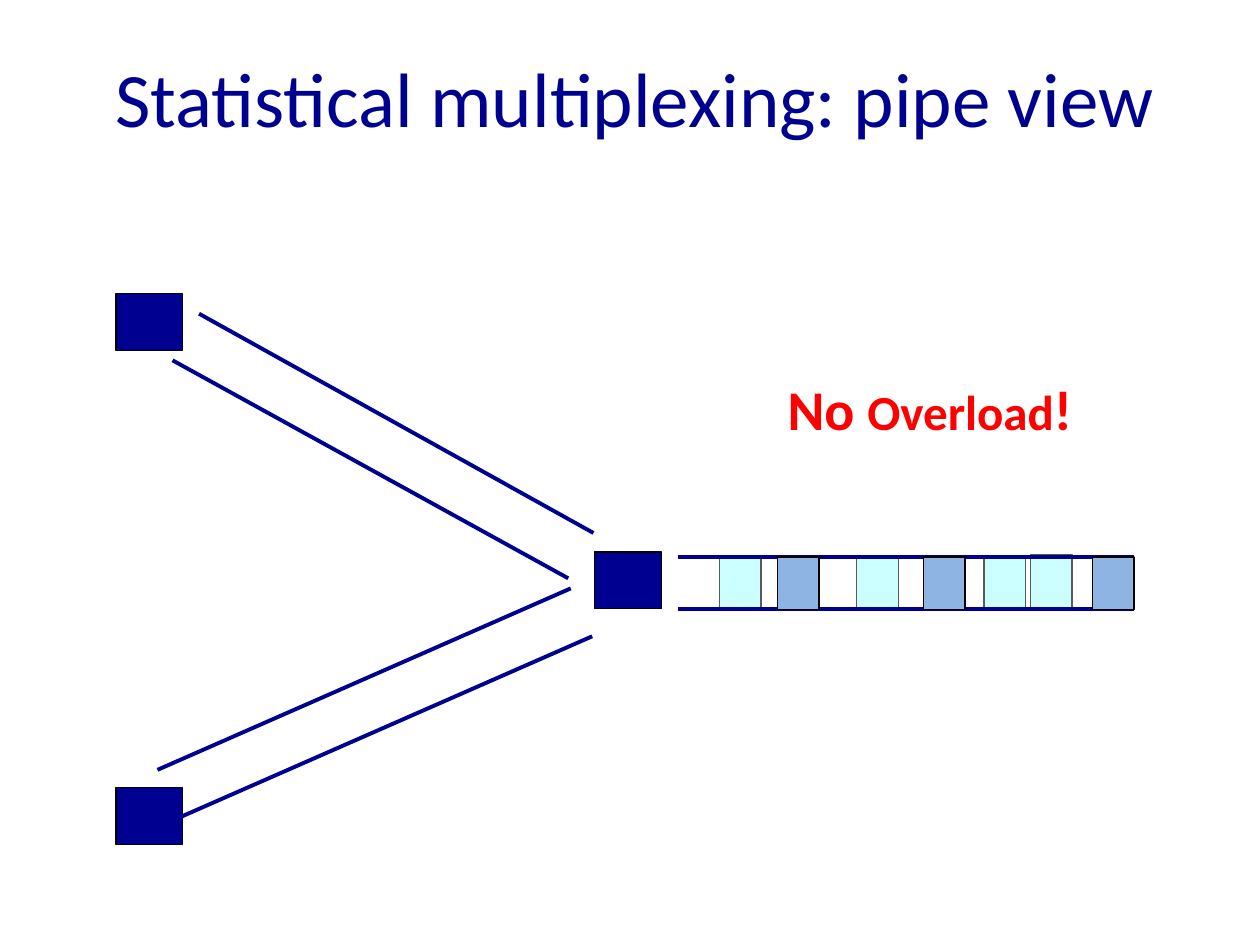
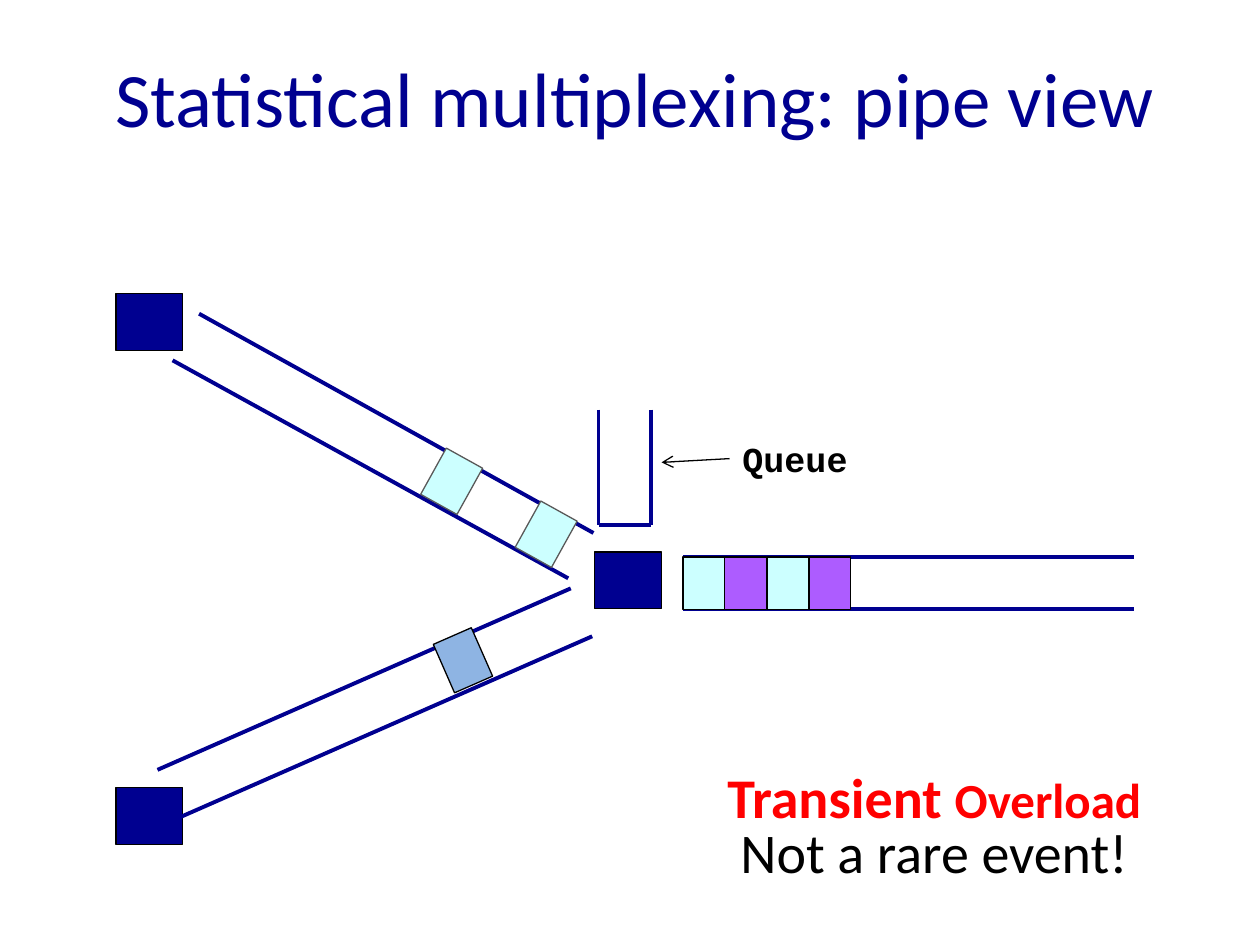
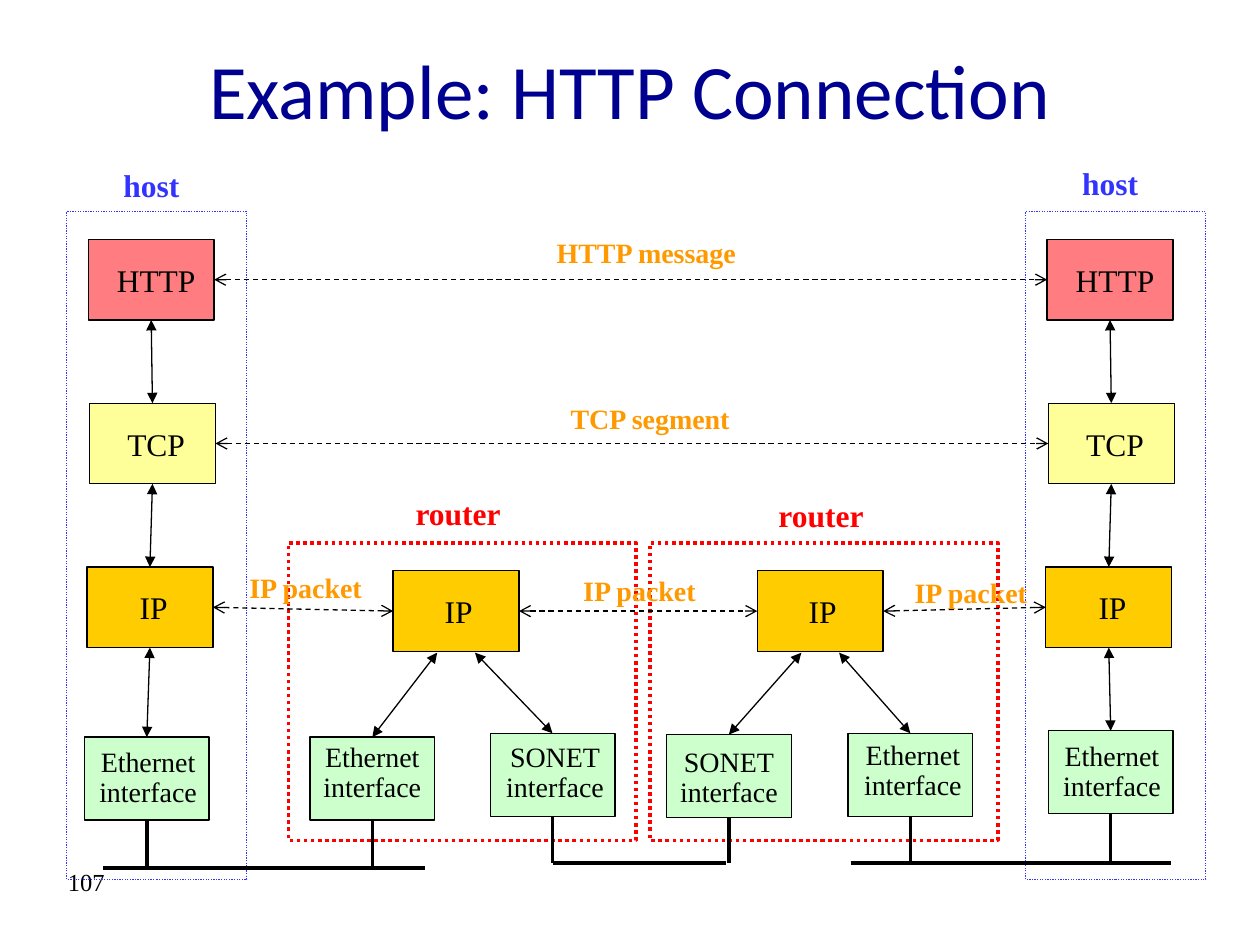
from dataclasses import dataclass
from itertools import pairwise

from lxml import etree
from pptx import Presentation
from pptx import util as u
from pptx.dml.color import RGBColor
from pptx.enum import dml, shapes, text as tx
from pptx.oxml import ns

TOP, LEFT, BOTTOM, RIGHT = range(4)


@dataclass(frozen=True)
class Theme:
    navy: str = "000090"
    black: str = "000000"
    gray: str = "595959"
    red: str = "FF0000"
    blue: str = "3333FF"
    orange: str = "FF9900"
    cyan: str = "CCFFFF"
    sky: str = "8EB4E3"
    purple: str = "AD5CFF"
    http: str = "FF7C80"
    tcp: str = "FFFF99"
    ip: str = "FFCC00"
    link: str = "CCFFCC"
    sans: str = "Calibri"
    serif: str = "Times New Roman"
    mono: str = "Courier New"
    title: int = 44
    big: int = 32
    medium: int = 28
    queue: int = 20
    label: int = 18
    small: int = 16
    number: int = 14
    thin: float = 0.75
    wire: float = 2
    pipe: float = 2.25


T = Theme()


def write(tf, text, *, size=T.label, font=T.serif, color=T.black, bold=False,
          align="left", spacing=None):
    """Fill a frame; text is lines split by newline, or (text, size) runs."""
    if isinstance(text, str):
        lines = [[(line, size)] for line in text.split("\n")]
    else:
        lines = [text]
    for i, runs in enumerate(lines):
        p = tf.add_paragraph() if i else tf.paragraphs[0]
        p.alignment = tx.PP_ALIGN.CENTER if align == "center" else tx.PP_ALIGN.LEFT
        if spacing:
            p.line_spacing = spacing
        for run_text, run_size in runs:
            r = p.add_run()
            r.text = run_text
            r.font.name, r.font.size, r.font.bold = font, u.Pt(run_size), bold
            r.font.color.rgb = RGBColor.from_string(color)


class Deck:
    def __init__(self, theme):
        self.theme = theme
        self.prs = Presentation()
        self.prs.slide_width, self.prs.slide_height = u.Inches(10), u.Inches(7.5)
        self.s = None

    def slide(self, title, at):
        self.s = self.prs.slides.add_slide(self.prs.slide_layouts[6])
        self.text(title, *at, size=self.theme.title, font=self.theme.sans,
                  color=self.theme.navy, align="center", anchor="middle")

    def text(self, text, x, y, w, h, wrap=True, anchor="top", **fmt):
        sp = self.s.shapes.add_textbox(*map(u.Inches, (x, y, w, h)))
        tf = sp.text_frame
        tf.word_wrap = wrap
        if not wrap:
            tf.auto_size = tx.MSO_AUTO_SIZE.SHAPE_TO_FIT_TEXT
        if anchor == "middle":
            tf.vertical_anchor = tx.MSO_ANCHOR.MIDDLE
        write(tf, text, **fmt)
        return sp

    def outline(self, line, color, width, dash=None):
        line.color.rgb = RGBColor.from_string(color)
        line.width = u.Pt(width)
        if dash:
            line.dash_style = dash

    def rect(self, x, y, w, h, fill=None, line=T.black, width=T.thin, dash=None,
             rotation=0):
        sp = self.s.shapes.add_shape(shapes.MSO_SHAPE.RECTANGLE,
                                     *map(u.Inches, (x, y, w, h)))
        sp.shadow.inherit = False
        sp.rotation = rotation
        if fill:
            sp.fill.solid()
            sp.fill.fore_color.rgb = RGBColor.from_string(fill)
        else:
            sp.fill.background()
        self.outline(sp.line, line, width, dash)
        return sp

    def box(self, text, x, y, w, h, fill, dx=0, dy=0, **fmt):
        """A labelled rectangle; dx and dy move the label off centre."""
        sp = self.rect(x, y, w, h, fill)
        tf = sp.text_frame
        tf.word_wrap = True
        tf.vertical_anchor = tx.MSO_ANCHOR.MIDDLE
        tf.margin_left, tf.margin_right = (u.Inches(max(0, 2 * d)) for d in (dx, -dx))
        tf.margin_top, tf.margin_bottom = (u.Inches(max(0, 2 * d)) for d in (dy, -dy))
        write(tf, text, align="center", **fmt)
        return sp

    def line(self, start, end, color=T.black, width=T.thin, dash=None,
             head=None, tail=None):
        """Each end is an (x, y) point or a (shape, side) joint."""
        joints = [isinstance(e[0], (int, float)) is False for e in (start, end)]
        points = [(0, 0) if joint else tuple(map(u.Inches, e))
                  for joint, e in zip(joints, (start, end))]
        c = self.s.shapes.add_connector(shapes.MSO_CONNECTOR.STRAIGHT,
                                        *points[0], *points[1])
        if joints[0]:
            c.begin_connect(*start)
        if joints[1]:
            c.end_connect(*end)
        self.outline(c.line, color, width, dash)
        ln = c.line._get_or_add_ln()
        for tag, kind in (("a:headEnd", head), ("a:tailEnd", tail)):
            if kind:
                etree.SubElement(ln, ns.qn(tag), type=kind)
        etree.SubElement(c._element.spPr, ns.qn("a:effectLst"))
        return c

    # Parts of the multiplexing view
    def pipe(self, *walls):
        for start, end in walls:
            self.line(start, end, self.theme.navy, self.theme.pipe)

    def packet(self, x, y, fill, line=T.black, rotation=0):
        self.rect(x, y, 0.33, 0.42, fill, line, rotation=rotation)

    def junction(self):
        """Two senders, the multiplexer and the two incoming pipes."""
        self.slide("Statistical multiplexing: pipe view", (0.5, 0.13, 9.08, 1.28))
        for x, y in ((4.72, 4.38), (0.92, 2.33), (0.92, 6.25)):
            self.rect(x, y, 0.53, 0.45, self.theme.navy)
        self.pipe(((1.58, 2.49), (4.71, 4.23)), ((1.37, 2.86), (4.51, 4.59)))
        self.pipe(((1.25, 6.11), (4.53, 4.67)), ((1.42, 6.49), (4.7, 5.05)))

    def output_pipe(self, x):
        self.pipe(*(((x, y), (x + 3.58, y)) for y in (4.42, 4.83)))

    # Parts of the protocol stack
    def interface(self, name, x, y, dx=0, dy=0):
        return self.box(f"{name}\ninterface", x, y, 0.99, 0.66, self.theme.link,
                        dx, dy, size=self.theme.small, spacing=0.9)

    def layer(self, name, x, y, fill, dx=0.03):
        return self.box(name, x, y, 1, 0.64, fill, dx)

    def caption(self, text, x, y, w, h, color, size=T.label):
        self.text(text, x, y, w, h, wrap=False, size=size, color=color, bold=True)

    def arrow(self, start, end):
        self.line(start, end, head="triangle", tail="triangle")

    def exchange(self, left, right):
        self.line((left, RIGHT), (right, LEFT), dash=dml.MSO_LINE.DASH,
                  head="arrow", tail="arrow")

    def frame(self, x, y, w, h, color, width):
        self.rect(x, y, w, h, line=color, width=width, dash=dml.MSO_LINE.ROUND_DOT)

    def host(self, x, link_at, label_y):
        stack = [self.layer("HTTP", x + 0.17, 1.9, self.theme.http, 0.04),
                 self.layer("TCP", x + 0.18, 3.2, self.theme.tcp),
                 self.layer("IP", x + 0.16, 4.5, self.theme.ip),
                 self.interface("Ethernet", *link_at, dx=0.01)]
        for upper, lower in pairwise(stack):
            self.arrow((upper, BOTTOM), (lower, TOP))
        self.frame(x, 1.68, 1.43, 5.3, self.theme.blue, self.theme.thin)
        self.caption("host", x + 0.35, label_y, 0.65, 0.4, self.theme.blue)
        return stack

    def router(self, x, ip_x, label_at, links):
        ip = self.layer("IP", ip_x, 4.53, self.theme.ip, 0.02)
        ports = [self.interface(*link) for link in links]
        for port, offset in zip(ports, (0.35, 0.65)):
            self.arrow((ip_x + offset, 5.18), (port, TOP))
        self.frame(x, 4.31, 2.76, 2.36, self.theme.red, self.theme.wire)
        self.caption("router", *label_at, 0.88, 0.4, self.theme.red)
        return ip, ports

    def network(self, x1, x2, y, members):
        """A shared wire with a drop from each member."""
        self.line((x1, y), (x2, y), width=self.theme.wire)
        for sp in members:
            middle = (sp.left + sp.width / 2) / u.Inches(1)
            self.line((sp, BOTTOM), (middle, y), width=self.theme.wire)


def no_overload(d):
    d.junction()
    d.output_pipe(5.38)
    for x, y in ((8.18, 4.4), (7.81, 4.41), (6.8, 4.42), (5.71, 4.42)):
        d.packet(x, y, T.cyan, T.gray)
    d.output_pipe(5.42)
    for x in (6.17, 8.67, 7.33):
        d.packet(x, 4.42, T.sky)
    d.text([("No ", T.big), ("Overload", T.medium), ("!", T.big)],
           5.67, 2.92, 3.42, 0.64, font=T.sans, color=T.red, bold=True, align="center")


def transient_overload(d):
    d.junction()
    for x, y in ((4.17, 4.03), (3.42, 3.61)):
        d.packet(x, y, T.cyan, T.gray, rotation=29)
    d.packet(3.51, 5.03, T.sky, rotation=336.3)
    d.text([("Transient ", T.big), ("Overload", T.medium)], 5.08, 6, 4.67, 0.64,
           font=T.sans, color=T.red, bold=True, align="center")
    d.text("Not a rare event!", 5.08, 6.44, 4.67, 0.64, size=T.big, font=T.sans,
           align="center")
    # Queue above the multiplexer
    d.pipe(((4.75, 3.25), (4.75, 4.17)), ((5.17, 3.25), (5.17, 4.17)),
           ((4.75, 4.17), (5.17, 4.17)))
    queue = d.text("Queue", 5.79, 3.42, 1.04, 0.44, wrap=False, size=T.queue,
                   font=T.mono, bold=True, align="center")
    d.line((queue, LEFT), (5.25, 3.67), tail="arrow")
    # Interleaved packets on the way out
    d.output_pipe(5.42)
    for i, fill in enumerate((T.cyan, T.purple) * 2):
        d.packet(5.42 + i / 3, 4.42, fill)


def http_connection(d):
    d.slide("Example: HTTP Connection", (0.5, 0.08, 9, 1.25))
    d.text("107", 0.44, 6.83, 2.33, 0.5, size=T.number)
    # Hosts and routers
    client = d.host(0.53, (0.67, 5.85), 1.27)
    server = d.host(8.14, (8.32, 5.8), 1.25)
    ip1, (lan1, wan1) = d.router(2.29, 3.12, (3.2, 3.87), (
        ("Ethernet", 2.46, 5.85, 0, -0.04), ("SONET", 3.89, 5.82, 0.02, -0.01)))
    ip2, (wan2, lan2) = d.router(5.16, 6.01, (6.08, 3.89), (
        ("SONET", 5.29, 5.83, 0, 0.02), ("Ethernet", 6.73, 5.82, 0.02, -0.03)))
    # Physical networks
    d.network(0.82, 3.37, 6.89, (client[-1], lan1))
    d.network(4.39, 5.76, 6.85, (wan1, wan2))
    d.network(6.75, 9.29, 6.85, (lan2, server[-1]))
    # Exchanges between peers
    for left, right in ((client[0], server[0]), (client[1], server[1]),
                        (client[2], ip1), (ip1, ip2), (ip2, server[2])):
        d.exchange(left, right)
    for text, x, y, w in (("HTTP message", 4.32, 1.82, 1.64),
                          ("TCP segment", 4.43, 3.14, 1.48),
                          ("IP packet", 1.88, 4.48, 1.11),
                          ("IP packet", 4.53, 4.5, 1.11),
                          ("IP packet", 7.16, 4.52, 1.11)):
        d.caption(text, x, y, w, 0.37, T.orange, T.small)


def main():
    d = Deck(T)
    no_overload(d)
    transient_overload(d)
    http_connection(d)
    d.prs.save("out.pptx")


if __name__ == "__main__":
    main()
